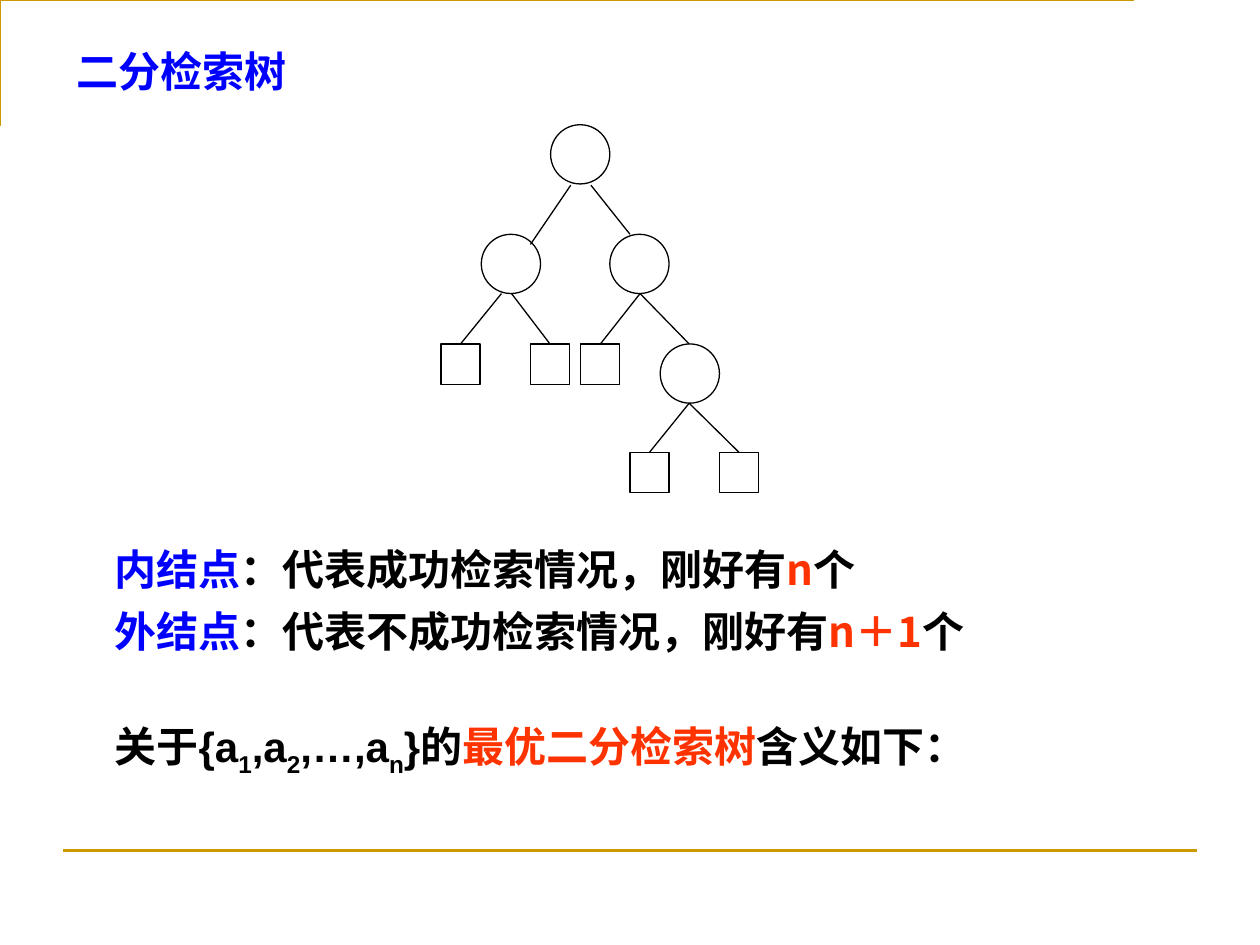
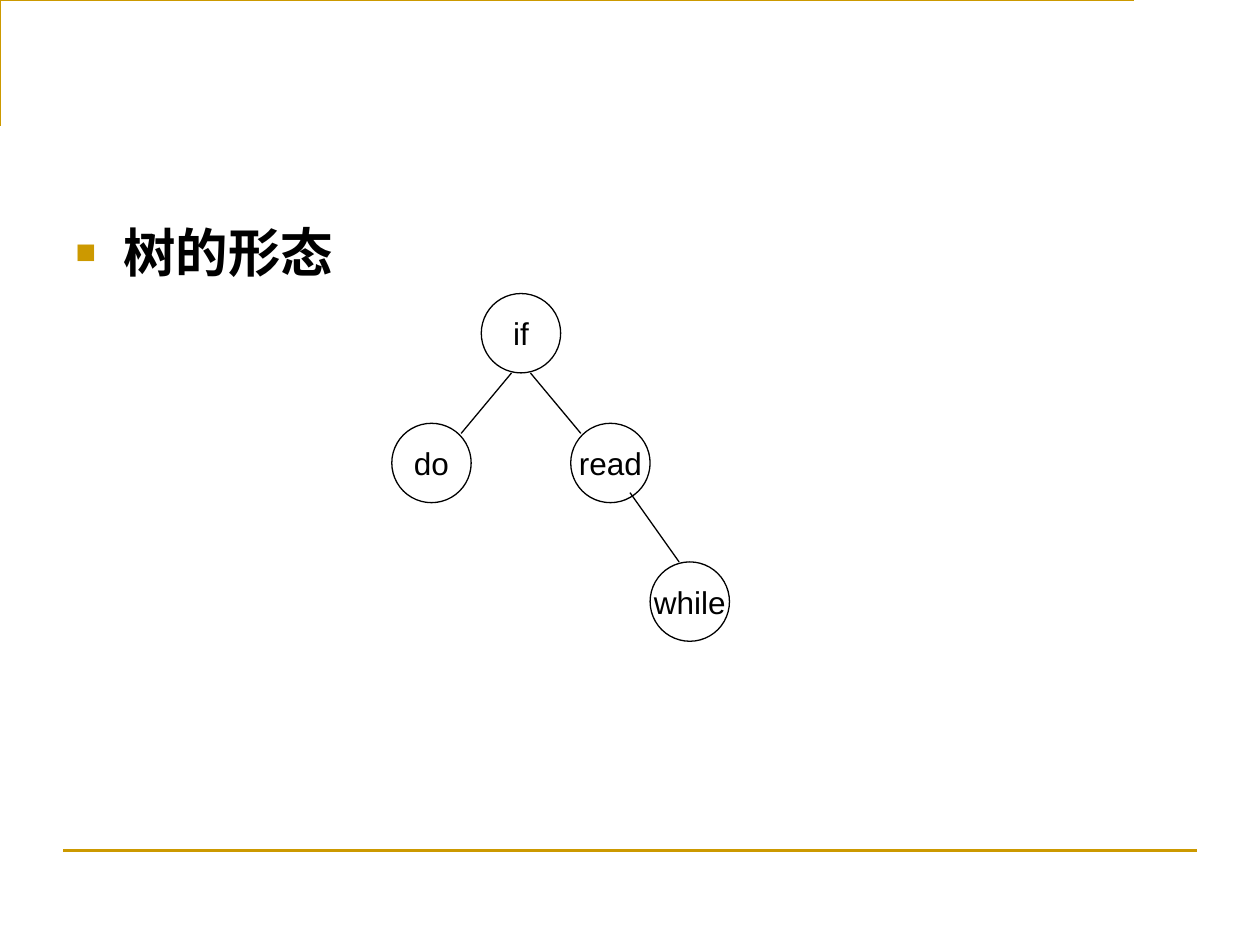
from lxml import etree
from pptx import Presentation
from pptx import util as u
from pptx.dml.color import RGBColor
from pptx.enum import shapes, text
from pptx.oxml import ns

COLORS = {"gold": "CC9900", "blue": "0000FF", "red": "FF3300", "black": "000000"}
CJK = "Noto Sans CJK SC"
LATIN = "Arial"
OVAL = shapes.MSO_SHAPE.OVAL
SQUARE = shapes.MSO_SHAPE.RECTANGLE


def add_line(slide, start, end, color="black", width=0.75):
    line = slide.shapes.add_connector(
        shapes.MSO_CONNECTOR.STRAIGHT, *[u.Inches(value) for value in (*start, *end)])
    line.line.color.rgb = RGBColor.from_string(COLORS[color])
    line.line.width = u.Pt(width)
    etree.SubElement(line._element.spPr, ns.qn("a:effectLst"))
    return line


def add_node(slide, kind, left, top, width, height, label=""):
    node = slide.shapes.add_shape(
        kind, *[u.Inches(value) for value in (left, top, width, height)])
    node.shadow.inherit = False
    node.fill.background()
    node.line.color.rgb = RGBColor.from_string(COLORS["black"])
    node.line.width = u.Pt(0.75)
    if label:
        frame = node.text_frame
        frame.text = label
        frame.word_wrap = False
        frame.vertical_anchor = text.MSO_ANCHOR.MIDDLE
        frame.paragraphs[0].alignment = text.PP_ALIGN.CENTER
        font = frame.paragraphs[0].runs[0].font
        font.name, font.size = LATIN, u.Pt(18)
        font.color.rgb = RGBColor.from_string(COLORS["black"])
    return node


presentation = Presentation()
presentation.slide_width, presentation.slide_height = u.Inches(10), u.Inches(7.5)
layout = presentation.slide_layouts[1]
search_slide, shape_slide = [presentation.slides.add_slide(layout) for _ in range(2)]

# Shared gold frame
for slide in presentation.slides:
    builder = slide.shapes.build_freeform(0.42, 0.92, scale=u.Inches(1))
    builder.add_line_segments([(0.42, 0.25), (9.42, 0.25)], close=False)
    corner = builder.convert_to_shape()
    corner.shadow.inherit = False
    corner.fill.background()
    corner.line.color.rgb = RGBColor.from_string(COLORS["gold"])
    corner.line.width = u.Pt(1.5)
    add_line(slide, (0.5, 6.75), (9.5, 6.75), "gold", 1.5)

# Placeholders: place, size and text as (words, color, font, subscript)
title = search_slide.shapes.title
definitions = search_slide.placeholders[1]
heading = shape_slide.placeholders[1]
shape_slide.shapes.title._element.getparent().remove(shape_slide.shapes.title._element)

contents = [
    (title, (0.51, 0.31, 9, 0.6), 24, [[("二分检索树", "blue", CJK, False)]]),
    (definitions, (0.81, 4.18, 8.7, 2.4), 24, [
        [("内结点", "blue", CJK, False), ("：代表成功检索情况，刚好有", "black", CJK, False),
         ("n", "red", CJK, False), ("个", "black", CJK, False)],
        [("外结点", "blue", CJK, False), ("：代表不成功检索情况，刚好有", "black", CJK, False),
         ("n＋1", "red", CJK, False), ("个", "black", CJK, False)],
        [("关于", "black", CJK, False), ("{a", "black", LATIN, False),
         ("1", "black", LATIN, True), (",a", "black", LATIN, False),
         ("2", "black", LATIN, True), (",…,a", "black", LATIN, False),
         ("n", "black", LATIN, True), ("}的", "black", LATIN, False),
         ("最优二分检索树", "red", LATIN, False), ("含义如下：", "black", LATIN, False)],
    ]),
    (heading, (0.5, 1.7, 9, 4.95), 30, [[("树的形态", "black", LATIN, False)]]),
]
for shape, box, size, lines in contents:
    shape.left, shape.top, shape.width, shape.height = [u.Inches(value) for value in box]
    frame = shape.text_frame
    frame.auto_size = text.MSO_AUTO_SIZE.NONE
    frame.vertical_anchor = text.MSO_ANCHOR.TOP
    frame.text = "\n".join("" for _ in lines)
    for paragraph, pieces in zip(frame.paragraphs, lines):
        paragraph.alignment = text.PP_ALIGN.LEFT
        paragraph.space_before = u.Pt(0)
        for words, color, font_name, subscript in pieces:
            run = paragraph.add_run()
            run.text = words
            run.font.size, run.font.bold, run.font.name = u.Pt(size), True, font_name
            run.font.color.rgb = RGBColor.from_string(COLORS[color])
            properties = run._r.get_or_add_rPr()
            etree.SubElement(properties, ns.qn("a:ea"), typeface=CJK)
            if subscript:
                properties.set("baseline", "-25000")

# Definition lines without bullets, the last one set apart
for paragraph in definitions.text_frame.paragraphs:
    paragraph.line_spacing = u.Pt(35)
    properties = paragraph._p.get_or_add_pPr()
    properties.set("marL", "0")
    properties.set("indent", "0")
    etree.SubElement(properties, ns.qn("a:buNone"))
definitions.text_frame.paragraphs[-1].space_before = u.Pt(35)

# Square gold bullet
properties = heading.text_frame.paragraphs[0]._p.get_or_add_pPr()
properties.set("marL", str(u.Inches(0.38)))
properties.set("indent", str(-u.Inches(0.38)))
bullet_color = etree.SubElement(properties, ns.qn("a:buClr"))
etree.SubElement(bullet_color, ns.qn("a:srgbClr"), val=COLORS["gold"])
etree.SubElement(properties, ns.qn("a:buSzPct"), val="65000")
etree.SubElement(properties, ns.qn("a:buFont"), typeface=LATIN)
etree.SubElement(properties, ns.qn("a:buChar"), char="■")

# Search tree: round inner nodes
for left, top in [(4.37, 0.99), (3.82, 1.86), (4.84, 1.86), (5.24, 2.73)]:
    add_node(search_slide, OVAL, left, top, 0.47, 0.47)
add_line(search_slide, (4.53, 1.47), (4.21, 1.94))
add_line(search_slide, (4.69, 1.47), (5, 1.86))
add_line(search_slide, (5.08, 2.33), (5.47, 2.73))

# Search tree: square outer nodes, each joined to its parent
for left, top, parent in [
    (3.5, 2.73, (3.98, 2.33)),
    (4.21, 2.73, (4.06, 2.33)),
    (4.61, 2.73, (5.08, 2.33)),
    (5, 3.59, (5.47, 3.2)),
    (5.71, 3.59, (5.47, 3.2)),
]:
    leaf = add_node(search_slide, SQUARE, left, top, 0.31, 0.32)
    add_line(search_slide, parent, (left, top)).end_connect(leaf, 0)

# Keyword tree
for label, left, top in [("if", 3.82, 2.33), ("do", 3.11, 3.36),
                         ("read", 4.53, 3.36), ("while", 5.16, 4.46)]:
    add_node(shape_slide, OVAL, left, top, 0.63, 0.63, label)
for start, end in [((4.06, 2.96), (3.66, 3.44)), ((4.21, 2.96), (4.61, 3.44)),
                   ((5, 3.91), (5.39, 4.46))]:
    add_line(shape_slide, start, end)

presentation.save("out.pptx")
